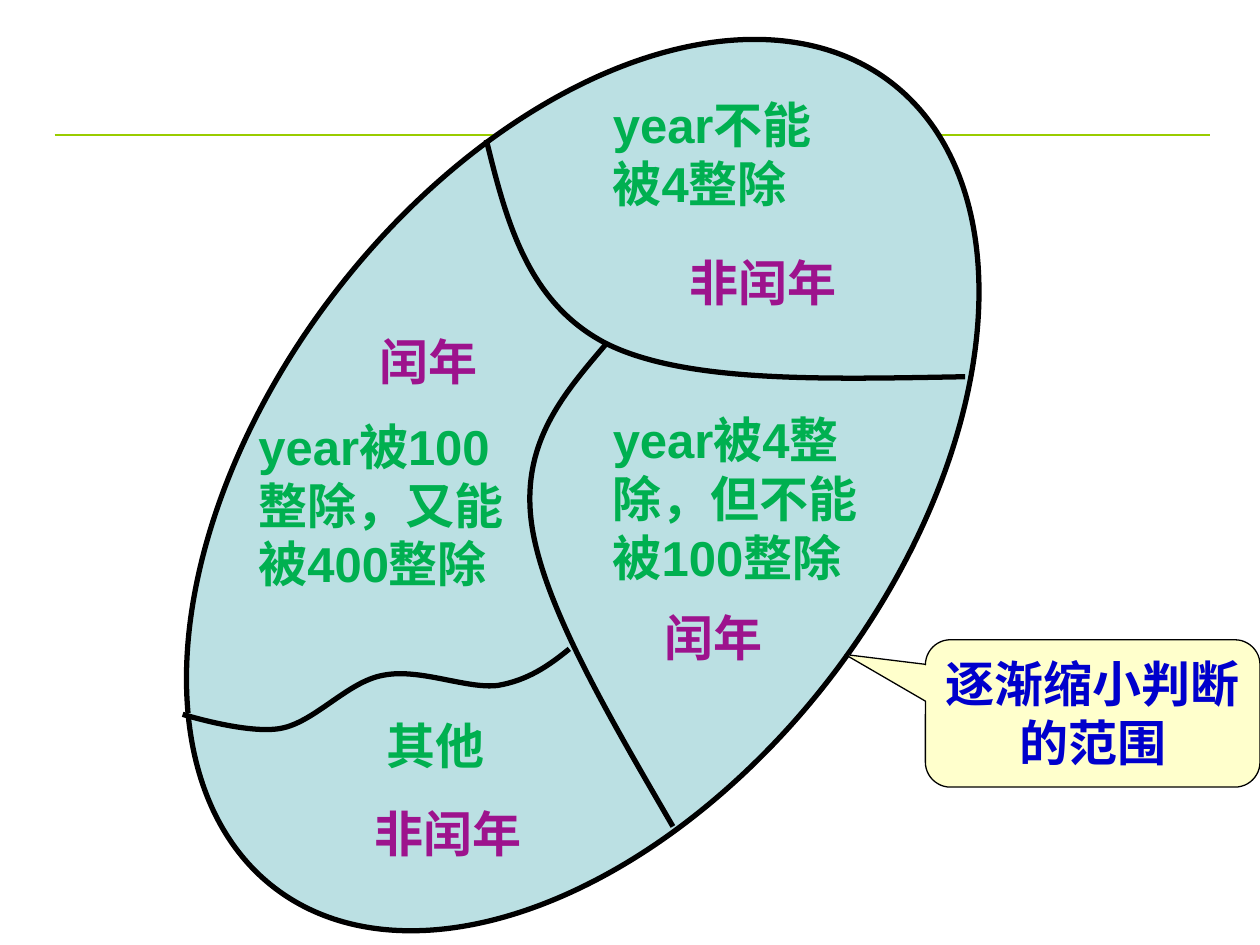
from dataclasses import dataclass

import lxml.etree
import pptx
import pptx.dml.color
import pptx.enum.shapes
import pptx.enum.text
import pptx.oxml.ns
import pptx.util

Pt = pptx.util.Pt
Kind = pptx.enum.shapes.MSO_SHAPE
Align = pptx.enum.text.PP_ALIGN
Point = tuple[float, float]
tag = pptx.oxml.ns.qn

HUES = {
    "rule": "99CC00", "pool": "BBE0E3", "edge": "000000", "test": "00B050",
    "result": "9D138D", "note": "FFFFCC", "hint": "0000CC",
}


@dataclass
class Label:
    text: str
    hue: str
    left: float
    top: float
    width: float = 140.4
    height: float = 41
    align: Align = Align.LEFT


@dataclass
class Curve:
    """A start point, then three points for each cubic segment."""
    points: list[Point]
    fill: str = ""


CURVES = [
    Curve([(277.9, 79.9), (289.4, 126.7), (301.7, 173.5), (347, 196.6),
           (392.4, 218.9), (471.6, 216.7), (551.5, 215.3)]),
    Curve([(346.3, 196.6), (321.8, 225.4), (297.4, 253.4), (303.8, 299.5),
           (310.3, 345.6), (347.8, 409), (384.5, 472.3)]),
    Curve([(325.4, 370.8), (313.9, 380.2), (301.7, 388.8), (284.4, 391.7),
           (266.4, 393.8), (239.8, 381.6), (218.9, 385.9),
           (198.7, 389.5), (180, 412.6), (160.6, 416.2),
           (141.8, 419.8), (104.4, 408.2), (104.4, 408.2)], "pool"),
]

LABELS = [
    Label("year不能被4整除", "test", 343.1, 50.7, height=75),
    Label("非闰年", "result", 365.8, 140.7, align=Align.CENTER),
    Label("year被4整除，但不能被100整除", "test", 343.1, 230.7, 168.5, 108),
    Label("闰年", "result", 337.7, 343.4, align=Align.CENTER),
    Label("year被100整除，又能被400整除", "test", 140.6, 234.3, 168.5, 108),
    Label("闰年", "result", 174.5, 185.8, align=Align.CENTER),
    Label("其他", "test", 213.8, 405.4, 90),
    Label("非闰年", "result", 185.8, 455.8, align=Align.CENTER),
]


def color(name: str) -> pptx.dml.color.RGBColor:
    return pptx.dml.color.RGBColor.from_string(HUES[name])


def style(shape, fill: str, width: float) -> None:
    shape.shadow.inherit = False
    if fill:
        shape.fill.solid()
        shape.fill.fore_color.rgb = color(fill)
    else:
        shape.fill.background()
    shape.line.color.rgb = color("edge")
    shape.line.width = Pt(width)


def write(frame, text: str, hue: str, align: Align) -> None:
    frame.word_wrap = True
    para = frame.paragraphs[0]
    para.alignment = align
    run = para.add_run()
    run.text = text
    run.font.name = "Arial"
    run.font.size = Pt(28)
    run.font.bold = True
    run.font.color.rgb = color(hue)


def bend(shape) -> None:
    """Turn each three straight segments into one cubic segment."""
    lines = list(shape._element.iter(tag("a:lnTo")))
    for start in range(0, len(lines), 3):
        trio = lines[start:start + 3]
        cubic = lxml.etree.Element(tag("a:cubicBezTo"))
        trio[0].addprevious(cubic)
        for line in trio:
            cubic.append(line[0])
            line.getparent().remove(line)


def draw_rule(shapes) -> None:
    rule = shapes.add_connector(
        pptx.enum.shapes.MSO_CONNECTOR.STRAIGHT,
        Pt(31.2), Pt(77.2), Pt(691.2), Pt(77.2))
    rule.line.color.rgb = color("rule")
    rule.line.width = Pt(1.5)
    lxml.etree.SubElement(rule._element.spPr, tag("a:effectLst"))


def draw_pool(shapes) -> None:
    pool = shapes.add_shape(
        Kind.OVAL, Pt(43.2), Pt(97.9), Pt(579.6), Pt(358.6))
    pool.rotation = 307.4
    style(pool, "pool", 3)


def draw_curve(shapes, curve: Curve) -> None:
    first, *rest = [(Pt(x), Pt(y)) for x, y in curve.points]
    pen = shapes.build_freeform(*first)
    pen.add_line_segments(rest, close=False)
    shape = pen.convert_to_shape()
    bend(shape)
    style(shape, curve.fill, 3)


def draw_label(shapes, label: Label) -> None:
    box = shapes.add_textbox(
        Pt(label.left), Pt(label.top), Pt(label.width), Pt(label.height))
    write(box.text_frame, label.text, label.hue, label.align)
    box.text_frame.auto_size = pptx.enum.text.MSO_AUTO_SIZE.SHAPE_TO_FIT_TEXT


def draw_note(shapes) -> None:
    note = shapes.add_shape(
        Kind.ROUNDED_RECTANGULAR_CALLOUT,
        Pt(528.8), Pt(365.6), Pt(191.2), Pt(84.2))
    for index, value in enumerate((-0.74, -0.4, 0.17)):
        note.adjustments[index] = value
    style(note, "note", 0.75)
    write(note.text_frame, "逐渐缩小判断的范围", "hint", Align.CENTER)
    note.text_frame.vertical_anchor = pptx.enum.text.MSO_ANCHOR.TOP


def main() -> None:
    deck = pptx.Presentation()
    deck.slide_width, deck.slide_height = Pt(720), Pt(540)
    shapes = deck.slides.add_slide(deck.slide_layouts[6]).shapes
    draw_rule(shapes)
    draw_pool(shapes)
    for curve in CURVES:
        draw_curve(shapes, curve)
    for label in LABELS:
        draw_label(shapes, label)
    draw_note(shapes)
    deck.save("out.pptx")


if __name__ == "__main__":
    main()
